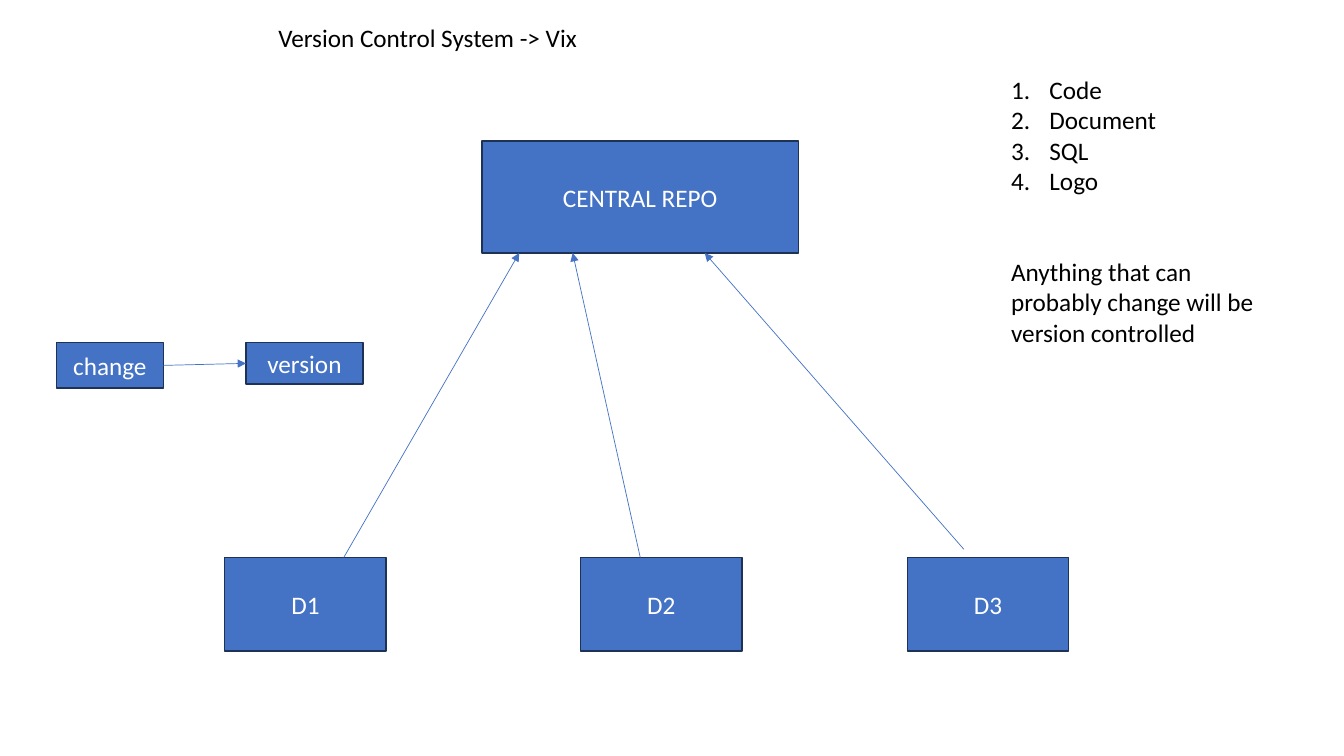
import pptx
import pptx.dml.color
import pptx.enum.shapes
import pptx.enum.text
import pptx.oxml
import pptx.oxml.ns
import pptx.util
from pptx.util import Inches

BLUE = pptx.dml.color.RGBColor(0x44, 0x72, 0xC4)
NAVY = pptx.dml.color.RGBColor(0x1E, 0x32, 0x56)
WHITE = pptx.dml.color.RGBColor(0xFF, 0xFF, 0xFF)
BLACK = pptx.dml.color.RGBColor(0x00, 0x00, 0x00)
ALIGN = pptx.enum.text.PP_ALIGN
ANCHOR = pptx.enum.text.MSO_ANCHOR
FIT = pptx.enum.text.MSO_AUTO_SIZE
TOP, LEFT, BOTTOM, RIGHT = range(4)


def apply_format(target, values):
    for name, value in values.items():
        setattr(target, name, value)


def write_para(para, text, color, align=ALIGN.LEFT):
    para.alignment = align
    span = para.add_run()
    span.text = text
    apply_format(span.font, {"name": "Calibri", "size": pptx.util.Pt(18), "bold": False})
    span.font.color.rgb = color


def add_box(page, label, left, top, width, height):
    box = page.shapes.add_shape(
        pptx.enum.shapes.MSO_SHAPE.RECTANGLE,
        Inches(left), Inches(top), Inches(width), Inches(height))
    box.shadow.inherit = False
    box.fill.solid()
    box.fill.fore_color.rgb = BLUE
    box.line.color.rgb = NAVY
    box.line.width = pptx.util.Pt(1)
    box.text_frame.vertical_anchor = ANCHOR.MIDDLE
    write_para(box.text_frame.paragraphs[0], label, WHITE, ALIGN.CENTER)
    return box


def add_arrow(page, start_x, start_y, end_x, end_y):
    arrow = page.shapes.add_connector(
        pptx.enum.shapes.MSO_CONNECTOR.STRAIGHT, start_x, start_y, end_x, end_y)
    arrow.line.color.rgb = BLUE
    arrow.line.width = pptx.util.Pt(0.5)
    outline = arrow.line._get_or_add_ln()
    outline.append(pptx.oxml.parse_xml(
        f'<a:tailEnd {pptx.oxml.ns.nsdecls("a")} type="triangle"/>'))
    arrow._element.spPr.append(pptx.oxml.parse_xml(
        f'<a:effectLst {pptx.oxml.ns.nsdecls("a")}/>'))
    return arrow


def add_title(page, left, top, width, height):
    title = page.shapes.title
    apply_format(title, {"left": Inches(left), "top": Inches(top),
                         "width": Inches(width), "height": Inches(height)})
    apply_format(title.text_frame, {"word_wrap": True, "auto_size": FIT.NONE,
                                    "vertical_anchor": ANCHOR.TOP})
    write_para(title.text_frame.paragraphs[0], "Version Control System -> Vix", BLACK)


def add_repo_diagram(page, left, top):
    repo = add_box(page, "CENTRAL REPO", left + 2.55, top, 3.14, 1.11)
    developers = [
        ("D1", 0, 1.18, 0, 0.37),
        ("D2", 3.53, 0.59, 0, 0.9),
        ("D3", 6.77, 0.56, 0.08, 2.21),
    ]
    for label, offset, start, gap, end in developers:
        box = add_box(page, label, left + offset, top + 4.13, 1.6, 0.93)
        add_arrow(page, box.left + Inches(start), box.top - Inches(gap),
                  repo.left + Inches(end), repo.top + repo.height)


def add_change_flow(page, left, top):
    change = add_box(page, "change", left, top, 1.06, 0.45)
    version = add_box(page, "version", left + 1.88, top, 1.16, 0.41)
    arrow = add_arrow(page, 0, 0, 0, 0)
    arrow.begin_connect(change, RIGHT)
    arrow.end_connect(version, LEFT)


def add_notes_list(page, left, top, width, height):
    frame = page.shapes.add_textbox(
        Inches(left), Inches(top), Inches(width), Inches(height)).text_frame
    apply_format(frame, {"word_wrap": True, "auto_size": FIT.SHAPE_TO_FIT_TEXT})
    para = frame.paragraphs[0]
    for item in ["Code", "Document", "SQL", "Logo"]:
        write_para(para, item, BLACK)
        properties = para._p.get_or_add_pPr()
        properties.set("marL", str(Inches(0.38)))
        properties.set("indent", str(-Inches(0.38)))
        properties.append(pptx.oxml.parse_xml(
            f'<a:buAutoNum {pptx.oxml.ns.nsdecls("a")} type="arabicPeriod"/>'))
        para = frame.add_paragraph()
    para.space_before = pptx.util.Pt(43.5)
    write_para(para, "Anything that can probably change will be version controlled", BLACK)


def main():
    deck = pptx.Presentation()
    apply_format(deck, {"slide_width": Inches(13.33), "slide_height": Inches(7.5)})
    page = deck.slides.add_slide(deck.slide_layouts.get_by_name("Title Only"))
    add_title(page, 2.66, 0.17, 6.19, 0.4)
    add_repo_diagram(page, 2.23, 1.4)
    add_change_flow(page, 0.56, 3.4)
    add_notes_list(page, 9.93, 0.69, 2.71, 2.83)
    deck.save("out.pptx")


if __name__ == "__main__":
    main()
